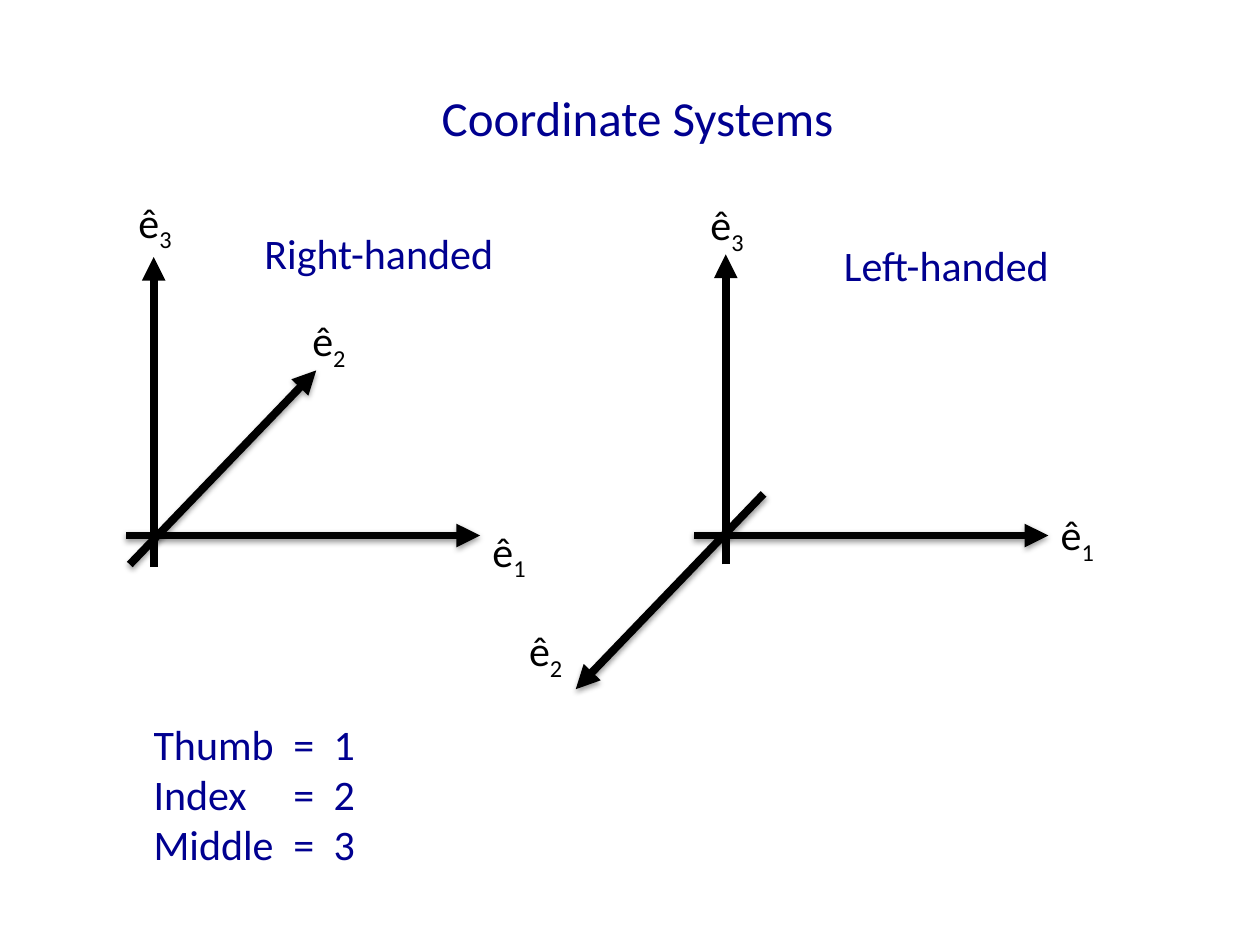
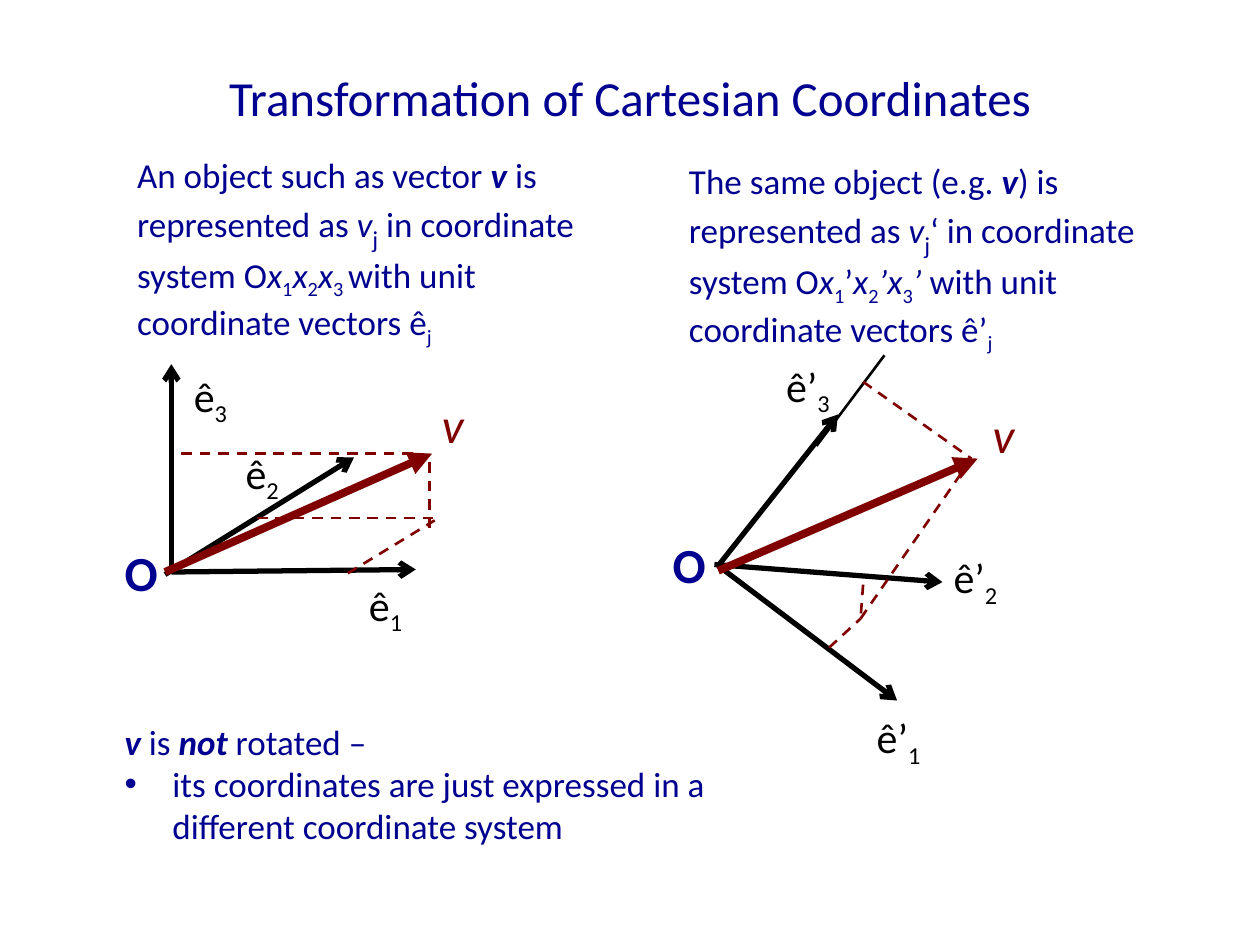
"""Build two slides on coordinate systems and the transformation of coordinates."""
from lxml import etree
from pptx import Presentation
from pptx.dml.color import RGBColor
from pptx.enum.dml import MSO_LINE
from pptx.enum.shapes import MSO_CONNECTOR
from pptx.enum.text import MSO_ANCHOR, MSO_AUTO_SIZE, PP_ALIGN
from pptx.oxml.ns import qn
from pptx.util import Pt

PX = 9144
FONT = "Calibri"
NAVY = RGBColor(0x00, 0x00, 0x90)
MAROON = RGBColor(0x80, 0x00, 0x00)
BLACK = RGBColor(0x00, 0x00, 0x00)
WHITE = RGBColor(0xFF, 0xFF, 0xFF)
STRAIGHT = MSO_CONNECTOR.STRAIGHT
DASH = MSO_LINE.DASH
MIDDLE = MSO_ANCHOR.MIDDLE
CENTER = PP_ALIGN.CENTER
GROW = MSO_AUTO_SIZE.SHAPE_TO_FIT_TEXT
TITLE_ONLY = 5


def add_text(slide, box, paragraphs, size=24, color=NAVY, wrap=True):
    """Add a text box; run flags are b bold, i italic, _ subscript, + larger."""
    shape = slide.shapes.add_textbox(*[value * PX for value in box])
    frame = shape.text_frame
    frame.word_wrap = wrap
    frame.auto_size = GROW
    for index, runs in enumerate(paragraphs):
        paragraph = frame.add_paragraph() if index else frame.paragraphs[0]
        for text, flags in runs:
            run = paragraph.add_run()
            run.text = text
            run.font.name = FONT
            run.font.size = Pt(size + 4 if "+" in flags else size)
            run.font.color.rgb = color
            run.font.bold = "b" in flags
            run.font.italic = "i" in flags
            if "_" in flags:
                run.font._element.set("baseline", "-25000")
    return shape


def add_line(slide, ends, width, color=BLACK, head=None, dash=None, shadow=False):
    """Add a straight line with an optional arrowhead, dash and soft shadow."""
    line = slide.shapes.add_connector(STRAIGHT, *[value * PX for value in ends])
    line.line.color.rgb = color
    line.line.width = Pt(width)
    if dash:
        line.line.dash_style = dash
    if head:
        etree.SubElement(line.line._get_or_add_ln(), qn("a:tailEnd"), type=head)
    effects = etree.SubElement(line._element.spPr, qn("a:effectLst"))
    if shadow:
        outer = etree.SubElement(effects, qn("a:outerShdw"), blurRad="40000",
                                 dist="20000", dir="5400000", rotWithShape="0")
        shade = etree.SubElement(outer, qn("a:srgbClr"), val=str(BLACK))
        etree.SubElement(shade, qn("a:alpha"), val="38000")


presentation = Presentation()
presentation.slide_width = 1000 * PX
presentation.slide_height = 750 * PX

slides = []
for title_text, left, height in [
    ("Coordinate Systems", 56, 125),
    ("Transformation of Cartesian Coordinates", 50, 94),
]:
    slide = presentation.slides.add_slide(presentation.slide_layouts[TITLE_ONLY])
    title = slide.shapes.title
    title.left, title.top = left * PX, 30 * PX
    title.width, title.height = 900 * PX, height * PX
    title.text_frame.vertical_anchor = MIDDLE
    paragraph = title.text_frame.paragraphs[0]
    paragraph.alignment = CENTER
    run = paragraph.add_run()
    run.text = title_text
    run.font.name = FONT
    run.font.size = Pt(28)
    run.font.color.rgb = NAVY
    slides.append(slide)
handedness_slide, transformation_slide = slides

fingers = add_text(handedness_slide, (112, 565, 181, 131), [
    [(f"{finger}\t=\t{number}", "")]
    for number, finger in enumerate(["Thumb", "Index", "Middle"], 1)
])
for paragraph in fingers.text_frame.paragraphs:
    tabs = etree.SubElement(paragraph._p.get_or_add_pPr(), qn("a:tabLst"))
    for position in (111, 143):
        etree.SubElement(tabs, qn("a:tab"), pos=str(position * PX), algn="l")

handed_axes = [
    ("3", (100, 151), (122, 450, 122, 204)),
    ("1", (381, 412), (100, 425, 381, 425)),
    ("2", (238, 245), (103, 448, 251, 294)),
    ("3", (554, 153), (576, 448, 576, 202)),
    ("1", (832, 399), (551, 425, 832, 425)),
    ("2", (410, 491), (606, 392, 457, 547)),
]
for number, corner, ends in handed_axes:
    label = add_text(handedness_slide, (*corner, 48, 50),
                     [[("ê", ""), (number, "_")]], color=BLACK, wrap=False)
    label.fill.solid()
    label.fill.fore_color.rgb = WHITE
for number, corner, ends in handed_axes:
    add_line(handedness_slide, ends, 4.5, head="triangle", shadow=number != "3")

for name, box in [("Left-handed", (660, 185, 186, 50)),
                  ("Right-handed", (200, 176, 205, 50))]:
    add_text(handedness_slide, box, [[(name, "")]], wrap=False)

add_text(transformation_slide, (99, 117, 380, 145), [[
    ("An object such as vector ", ""), ("v ", "bi"), ("is represented as ", ""),
    ("v", "i"), ("j", "_+"), (" in coordinate system O", ""),
    ("x", "i"), ("1", "_"), ("x", "i"), ("2", "_"), ("x", "i"), ("3 ", "_"),
    ("with unit coordinate vectors ê", ""), ("j", "_"),
]], size=20)
add_text(transformation_slide, (537, 122, 384, 145), [[
    ("The same object (e.g. ", ""), ("v", "bi"), (") is represented as ", ""),
    ("v", "i"), ("j", "_+"), ("‘ in coordinate system O", ""),
    ("x", "i"), ("1", "_"), ("’", ""), ("x", "i"), ("2", "_"),
    ("’x", "i"), ("3", "_"), ("’ ", "i"),
    ("with unit coordinate vectors ê’", ""), ("j", "_"),
]], size=20)

rotated_frame = {
    "projections": [(658, 514, 683, 491), (685, 464, 683, 491),
                    (685, 303, 771, 364), (683, 491, 762, 377)],
    "vector": (570, 453, 776, 364),
    "axes": [(567, 448, 748, 462), (570, 449, 712, 556), (570, 449, 665, 329)],
    "base": "ê’",
    "label width": 57,
    "labels": [("2", 747, 433), ("1", 686, 560), ("3", 614, 281)],
    "v": (778, 316),
    "O": (524, 419),
}
first_frame = {
    "projections": [(276, 455, 345, 413), (144, 360, 330, 360),
                    (204, 411, 348, 411), (341, 419, 341, 363)],
    "vector": (131, 454, 343, 360),
    "axes": [(131, 456, 281, 363), (136, 454, 330, 452), (136, 454, 136, 289)],
    "base": "ê",
    "label width": 48,
    "labels": [("1", 283, 455), ("3", 144, 289), ("2", 185, 350)],
    "v": (341, 308),
    "O": (89, 426),
}
add_line(transformation_slide, (648, 354, 702, 282), 1.5)
for frame in (rotated_frame, first_frame):
    for ends in frame["axes"]:
        add_line(transformation_slide, ends, 3, head="arrow")
    add_line(transformation_slide, frame["vector"], 4.5, MAROON, head="triangle")
    for ends in frame["projections"]:
        add_line(transformation_slide, ends, 1.5, MAROON, dash=DASH)
    for number, left, top in frame["labels"]:
        add_text(transformation_slide, (left, top, frame["label width"], 50),
                 [[(frame["base"], ""), (number, "_")]], color=BLACK, wrap=False)
    for letter, flags, color in [("v", "i", MAROON), ("O", "b", NAVY)]:
        add_text(transformation_slide, (*frame[letter], 43, 57),
                 [[(letter, flags)]], size=28, color=color)

conclusion = add_text(transformation_slide, (89, 567, 569, 111), [
    [("v", "bi"), (" is ", ""), ("not", "bi"), (" rotated –", "")],
    [("its coordinates are just expressed in a different coordinate system", "")],
], size=20)
properties = conclusion.text_frame.paragraphs[1]._p.get_or_add_pPr()
properties.set("marL", str(38 * PX))
properties.set("indent", str(-38 * PX))
etree.SubElement(properties, qn("a:buFont"), typeface="Arial")
etree.SubElement(properties, qn("a:buChar"), char="•")

presentation.save("out.pptx")
